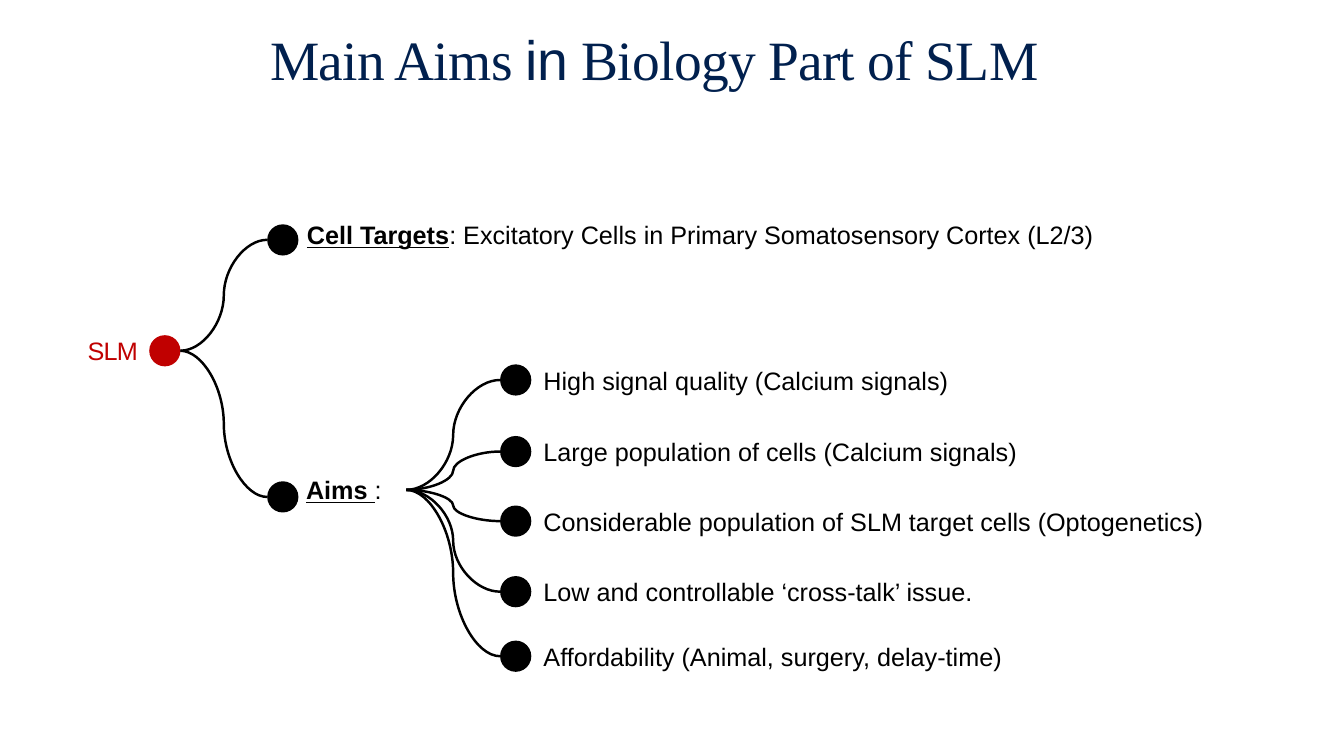
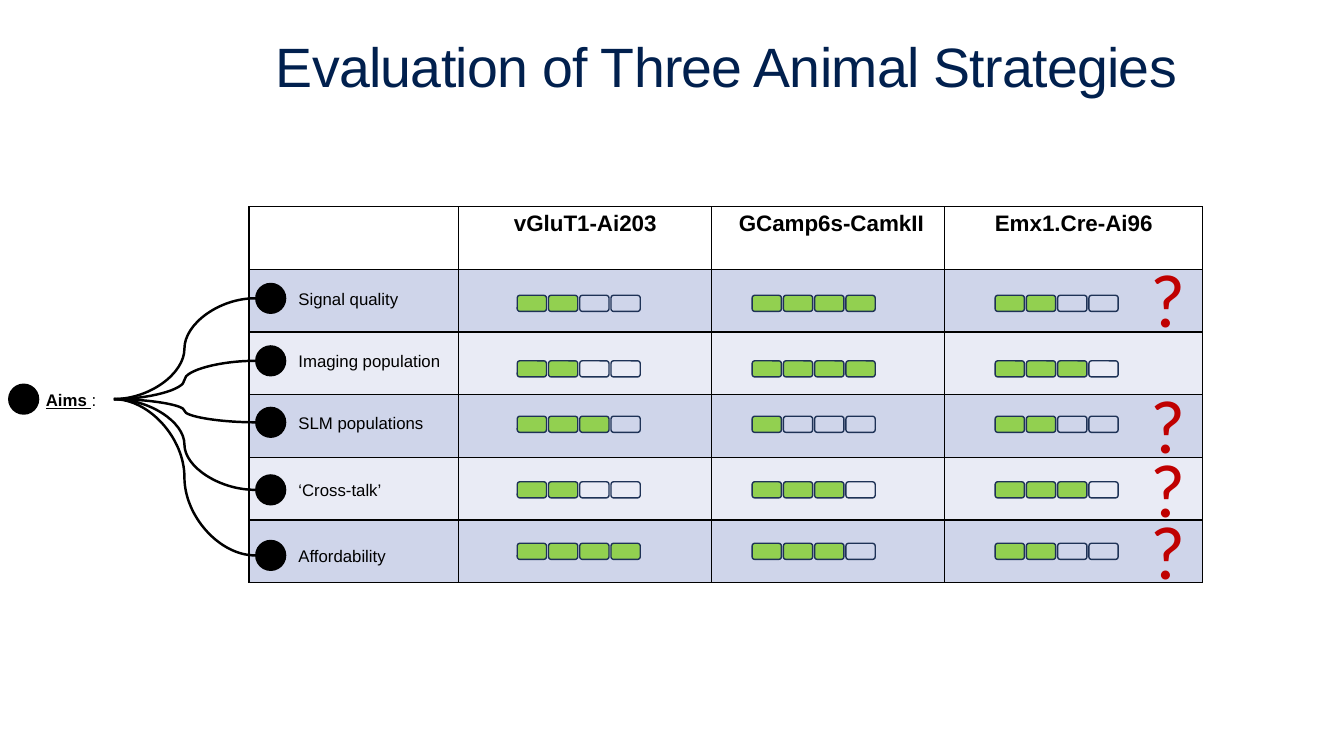
from lxml.etree import SubElement
from pptx import Presentation
from pptx.dml.color import RGBColor
from pptx.enum.shapes import MSO_CONNECTOR, MSO_SHAPE
from pptx.enum.text import MSO_ANCHOR, MSO_AUTO_SIZE, PP_ALIGN
from pptx.oxml.ns import qn
from pptx.util import Inches, Pt

NAVY, RED, BLACK = "01204E", "C00000", "000000"
GREEN, OUTLINE = "92D050", "1E3256"
BANDS = ("CFD5EA", "E9EBF5")
DOT = 0.31
METER_SIZE, METER_STEP = 4, 0.31


def color(value):
    return RGBColor.from_string(value)


def fill_shape(target, value=None):
    if value:
        target.fill.solid()
        target.fill.fore_color.rgb = color(value)
    else:
        target.fill.background()


def add_span(para, text, size=18, font="Arial", tint=BLACK, bold=False,
             underline=False, spacing=None):
    span = para.add_run()
    span.text = text
    span.font.size = Pt(size)
    span.font.name = font
    span.font.bold = bold
    span.font.underline = underline
    span.font.color.rgb = color(tint)
    if spacing is not None:
        span.font._element.set("spc", str(int(spacing * 100)))


def add_title(page, area, *spans):
    title = page.shapes.title
    title.left, title.top, title.width, title.height = map(Inches, area)
    frame = title.text_frame
    frame.word_wrap = True
    frame.auto_size = MSO_AUTO_SIZE.NONE
    frame.vertical_anchor = MSO_ANCHOR.MIDDLE
    para = frame.paragraphs[0]
    para.alignment = PP_ALIGN.CENTER
    para.line_spacing = 0.9
    for text, font in spans:
        add_span(para, text, size=39.6, font=font, tint=NAVY, spacing=-0.5)


def add_label(page, area, *spans, align=PP_ALIGN.LEFT, anchor=MSO_ANCHOR.MIDDLE,
              inset=0.12):
    box = page.shapes.add_textbox(*map(Inches, area))
    frame = box.text_frame
    frame.word_wrap = True
    frame.vertical_anchor = anchor
    frame.margin_left = frame.margin_right = Inches(inset)
    para = frame.paragraphs[0]
    para.alignment = align
    for text, style in spans:
        add_span(para, text, **style)


def add_heading(page, area, heading, rest, size=18):
    add_label(page, area, (heading, dict(size=size, bold=True, underline=True)),
              (rest, dict(size=size)), align=PP_ALIGN.CENTER, inset=0.05)


def add_dot(page, left, middle, tint=BLACK):
    dot = page.shapes.add_shape(MSO_SHAPE.OVAL, Inches(left), Inches(middle - DOT / 2),
                                Inches(DOT), Inches(DOT))
    dot.shadow.inherit = False
    fill_shape(dot, tint)
    dot.line.fill.background()


def add_curve(page, start, end):
    curve = page.shapes.add_connector(MSO_CONNECTOR.CURVE, *map(Inches, start + end))
    curve.line.color.rgb = color(BLACK)
    curve.line.width = Pt(1.75)
    SubElement(curve._element.spPr, qn("a:effectLst"))


def add_fork(page, start, dot_left, branches, width, size):
    for text, middle in branches:
        add_curve(page, start, (dot_left, middle))
        add_dot(page, dot_left, middle)
        add_label(page, (dot_left + DOT, middle - 0.25, width, 0.5),
                  (text, dict(size=size)))


def add_meter(page, left, top, score):
    group = page.shapes.add_group_shape()
    for index in range(METER_SIZE):
        block = group.shapes.add_shape(
            MSO_SHAPE.ROUNDED_RECTANGLE, Inches(left + index * METER_STEP),
            Inches(top), Inches(0.29), Inches(0.16))
        block.shadow.inherit = False
        fill_shape(block, GREEN if index < score else None)
        block.line.color.rgb = color(OUTLINE)
        block.line.width = Pt(1)


def add_borders(cell):
    properties = cell._tc.get_or_add_tcPr()
    for position, side in enumerate(("lnL", "lnR", "lnT", "lnB")):
        line = properties.makeelement(qn(f"a:{side}"), {"w": str(Pt(1))})
        properties.insert(position, line)
        solid = SubElement(line, qn("a:solidFill"))
        SubElement(solid, qn("a:srgbClr"), val=BLACK)


def add_grid(page, area, widths, headers, row_count):
    table = page.shapes.add_table(row_count, len(widths), *map(Inches, area)).table
    table.first_row = table.horz_banding = False
    for column, width in zip(table.columns, widths):
        column.width = Inches(width)
    for index, row in enumerate(table.rows):
        row.height = Inches(area[3] / row_count)
        for cell in row.cells:
            fill_shape(cell, BANDS[(index - 1) % 2] if index else None)
            add_borders(cell)
    for column, text in enumerate(headers, 1):
        para = table.cell(0, column).text_frame.paragraphs[0]
        para.alignment = PP_ALIGN.CENTER
        add_span(para, text, size=16, bold=True)


def build_aims(page):
    add_title(page, (2.47, 0.29, 8.04, 0.66), ("Main Aims ", "Times New Roman"),
              ("in", "Arial"), (" Biology Part of SLM", "Times New Roman"))
    add_label(page, (0.77, 3.28, 0.86, 0.4),
              ("SLM", dict(tint=RED, spacing=-0.5)), inset=0.1)
    add_dot(page, 1.48, 3.48, RED)
    for middle in (2.38, 4.93):
        add_curve(page, (1.79, 3.48), (2.65, middle))
        add_dot(page, 2.65, middle)
    add_heading(page, (2.8, 1.94, 8.36, 0.77), "Cell Targets",
                ": Excitatory Cells in Primary Somatosensory Cortex (L2/3) ")
    add_heading(page, (2.8, 4.47, 1.22, 0.77), "Aims ", ":")
    branches = (
        ("High signal quality (Calcium signals)", 3.77),
        ("Large population of cells (Calcium signals)", 4.48),
        ("Considerable population of SLM target cells (Optogenetics)", 5.17),
        ("Low and controllable ‘cross-talk’ issue.", 5.87),
        ("Affordability (Animal, surgery, delay-time)", 6.51),
    )
    add_fork(page, (4.03, 4.86), 4.96, branches, width=7.28, size=18)


def build_evaluation(page):
    add_title(page, (1.83, 0.36, 10.75, 0.66),
              ("Evaluation of Three Animal Strategies", "Arial"))
    strategies = (
        ("vGluT1-Ai203", 5.13, (2, 2, 3, 2, 4)),
        (" GCamp6s-CamkII", 7.46, (4, 4, 1, 3, 3)),
        ("Emx1.Cre-Ai96", 9.87, (2, 3, 2, 3, 2)),
    )
    branches = (
        ("Signal quality", 2.96),
        ("Imaging population", 3.58),
        ("SLM populations", 4.19),
        ("‘Cross-talk’", 4.86),
        ("Affordability", 5.51),
    )
    add_grid(page, (2.47, 2.05, 9.46, 3.73), (2.08, 2.51, 2.31, 2.56),
             [name for name, left, scores in strategies], len(branches) + 1)
    add_dot(page, 0.08, 3.96)
    add_heading(page, (0.28, 3.58, 0.85, 0.77), "Aims ", ":", size=12)
    add_fork(page, (1.13, 3.96), 2.53, branches, width=1.7, size=12)
    for name, left, scores in strategies:
        for top, score in zip((2.93, 3.58, 4.13, 4.78, 5.39), scores):
            add_meter(page, left, top, score)
    for top in (2.45, 3.7, 4.33, 4.95):
        add_label(page, (11.28, top, 0.6, 1.01),
                  ("?", dict(size=54, font="Calibri", tint=RED)),
                  align=PP_ALIGN.CENTER, anchor=MSO_ANCHOR.TOP, inset=0)


def main():
    deck = Presentation()
    deck.slide_width, deck.slide_height = Inches(13.33), Inches(7.5)
    for build in (build_aims, build_evaluation):
        build(deck.slides.add_slide(deck.slide_layouts[5]))
    deck.save("out.pptx")


if __name__ == "__main__":
    main()
